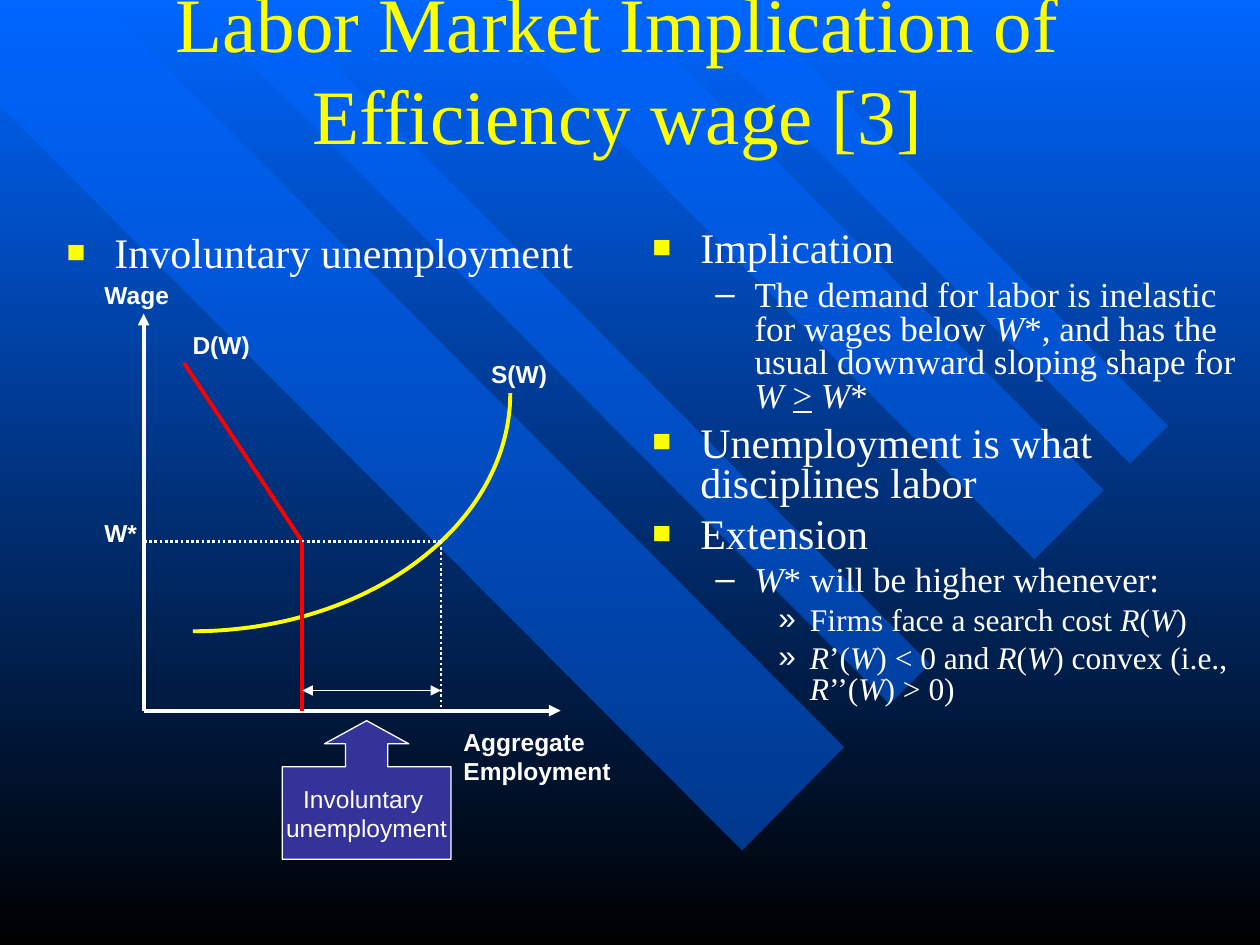
from math import cos, pi, sin

from pptx import Presentation
from pptx.dml.color import RGBColor
from pptx.enum.dml import MSO_LINE
from pptx.enum.shapes import MSO_CONNECTOR, MSO_SHAPE
from pptx.enum.text import MSO_ANCHOR, MSO_AUTO_SIZE, PP_ALIGN
from pptx.oxml.ns import qn
from pptx.util import Inches, Pt

STRAIGHT, DOTTED = MSO_CONNECTOR.STRAIGHT, MSO_LINE.ROUND_DOT
CALLOUT = MSO_SHAPE.UP_ARROW_CALLOUT
MIDDLE, CENTER, LEFT = MSO_ANCHOR.MIDDLE, PP_ALIGN.CENTER, PP_ALIGN.LEFT
FIT_SHAPE, NO_FIT = MSO_AUTO_SIZE.SHAPE_TO_FIT_TEXT, MSO_AUTO_SIZE.NONE

COLORS = {"blue": "0066FF", "black": "000000", "yellow": "FFFF00",
          "white": "FFFFFF", "red": "FF0000", "indigo": "333399"}
SERIF, SANS = "Times New Roman", "Arial"
ITALIC, UNDERLINE = {"italic": True}, {"underline": True}

TITLE = "Labor Market Implication of Efficiency wage [3]"
BANDS = [
    [(6.7, 5.93), (0.79, 0), (0, 0), (0, 0.84), (5.89, 6.75)],
    [(2.14, 0), (7.38, 5.27), (7.06, 5.59), (1.49, 0)],
    [(4.89, 0), (8.76, 3.89), (8.21, 4.44), (3.8, 0)],
    [(5.3, 0), (8.97, 3.68), (9.27, 3.38), (5.91, 0)],
]
LEVELS = [
    {"size": 24, "left": 0.38, "hang": 0.38, "before": 6, "bullet": "■", "color": "yellow", "scale": 75},
    {"size": 20, "left": 0.81, "hang": 0.31, "before": 5, "bullet": "–", "color": "white", "scale": 100},
    {"size": 18, "left": 1.25, "hang": 0.25, "before": 4.5, "bullet": "»", "color": "white", "scale": 100},
]
COLUMNS = [
    {"at": (0.43, 1.79, 4.48, 4.87), "spacing": 0.9, "items": [(0, [("Involuntary unemployment", {})])]},
    {"at": (5.08, 1.79, 4.92, 4.87), "spacing": 0.8, "items": [
        (0, [("Implication", {})]),
        (1, [("The demand for labor is inelastic for wages below ", {}), ("W", ITALIC),
             ("*, and has the usual downward sloping shape for ", {}), ("W ", ITALIC),
             (">", UNDERLINE), (" ", {}), ("W", ITALIC), ("*", {})]),
        (0, [("Unemployment is what disciplines labor", {})]),
        (0, [("Extension", {})]),
        (1, [("W", ITALIC), ("* will be higher whenever:", {})]),
        (2, [("Firms face a search cost ", {}), ("R", ITALIC), ("(", {}), ("W", ITALIC), (")", {})]),
        (2, [("R", ITALIC), ("’(", {}), ("W", ITALIC), (") < 0 and ", {}), ("R", ITALIC),
             ("(", {}), ("W", ITALIC), (") convex (i.e., ", {}), ("R", ITALIC), ("’’(", {}),
             ("W", ITALIC), (") > 0)", {})]),
    ]},
]
ORIGIN_X, ORIGIN_Y = 1.14, 5.64
DEMAND_X, SUPPLY_X, WAGE_Y, GAP_Y = 2.4, 3.5, 4.3, 5.48
SUPPLY = {"center": (1.53, 3.12), "radii": (2.52, 1.89), "steps": 60}
LINES = [
    ((ORIGIN_X, ORIGIN_Y), (ORIGIN_X, 2.49), "white", 2.25, None, ["tailEnd"]),
    ((ORIGIN_X, ORIGIN_Y), (4.45, ORIGIN_Y), "white", 2.25, None, ["tailEnd"]),
    ((1.46, 2.88), (DEMAND_X, WAGE_Y), "red", 2.25, None, []),
    ((SUPPLY_X, WAGE_Y), (ORIGIN_X, WAGE_Y), "white", 1.5, DOTTED, []),
    ((DEMAND_X, WAGE_Y), (DEMAND_X, ORIGIN_Y), "red", 2.25, None, []),
    ((SUPPLY_X, WAGE_Y), (SUPPLY_X, ORIGIN_Y), "white", 1.5, DOTTED, []),
    ((DEMAND_X, GAP_Y), (SUPPLY_X, GAP_Y), "white", 0.75, None, ["headEnd", "tailEnd"]),
]
LABELS = [
    ((3.58, 5.72, 1.4, 0.57), ["Aggregate", "Employment"]),
    ((0.73, 2.17, 0.75, 0.34), ["Wage"]),
    ((1.43, 2.57, 0.7, 0.34), ["D(W)"]),
    ((3.8, 2.8, 0.7, 0.34), ["S(W)"]),
    ((0.73, 4.06, 0.5, 0.34), ["W*"]),
]
CAUSE = {"at": (2.24, 5.72, 1.34, 1.1), "lines": ["Involuntary ", "unemployment"],
         "adjustments": (0.304, 0.304, 0.167, 0.667)}


def rgb(name):
    return RGBColor.from_string(COLORS[name])


def inches(values):
    return [Inches(value) for value in values]


def add_span(para, text, font, size, color="white", **formats):
    span = para.add_run()
    span.text = text
    for key, value in {"name": font, "size": Pt(size), **formats}.items():
        setattr(span.font, key, value)
    span.font.color.rgb = rgb(color)


def paragraphs(frame, items):
    for index, item in enumerate(items):
        yield index, frame.paragraphs[0] if index == 0 else frame.add_paragraph(), item


def write_lines(frame, lines, align, **formats):
    frame.word_wrap = False
    for _, para, text in paragraphs(frame, lines):
        para.alignment = align
        add_span(para, text, SANS, 14, **formats)


def add_child(parent, tag, **attributes):
    child = parent.makeelement(qn(f"a:{tag}"), attributes)
    parent.append(child)
    return child


def add_outline(page, points, close):
    builder = page.shapes.build_freeform(*inches(points[0]))
    builder.add_line_segments([inches(point) for point in points[1:]], close=close)
    shape = builder.convert_to_shape()
    shape.shadow.inherit = False
    return shape


def add_backdrop(page):
    fill = page.background.fill
    fill.gradient()
    fill.gradient_angle = 270
    for stop, name in zip(fill.gradient_stops, ("blue", "black")):
        stop.color.rgb = rgb(name)
    for points in BANDS:
        band = add_outline(page, points, True)
        band.fill.solid()
        band.fill.fore_color.rgb = rgb("blue")
        band.line.fill.background()
        add_child(band.element.spPr.find(".//" + qn("a:srgbClr")), "alpha", val="50000")


def add_title(page):
    title = page.shapes.title
    title.element.getparent().append(title.element)
    title.left, title.top, title.width, title.height = inches((0, 0, 9.8, 1.07))
    frame = title.text_frame
    for key, value in {"word_wrap": True, "auto_size": NO_FIT, "vertical_anchor": MIDDLE}.items():
        setattr(frame, key, value)
    frame.paragraphs[0].alignment = CENTER
    add_span(frame.paragraphs[0], TITLE, SERIF, 44, "yellow")


def add_column(page, column):
    frame = page.shapes.add_textbox(*inches(column["at"])).text_frame
    frame.word_wrap = True
    for index, para, (depth, spans) in paragraphs(frame, column["items"]):
        level = LEVELS[depth]
        para.level = depth
        para.line_spacing = column["spacing"]
        para.space_before = Pt(level["before"] if index else 0)
        properties = para._p.get_or_add_pPr()
        properties.set("marL", str(Inches(level["left"])))
        properties.set("indent", str(-Inches(level["hang"])))
        add_child(add_child(properties, "buClr"), "srgbClr", val=COLORS[level["color"]])
        add_child(properties, "buSzPct", val=str(level["scale"] * 1000))
        add_child(properties, "buFont", typeface=SANS)
        add_child(properties, "buChar", char=level["bullet"])
        for text, formats in spans:
            add_span(para, text, SERIF, level["size"], **formats)


def add_line(page, start, end, color, width, dash, arrows):
    line = page.shapes.add_connector(STRAIGHT, *inches(start + end))
    line.line.color.rgb = rgb(color)
    line.line.width = Pt(width)
    if dash:
        line.line.dash_style = dash
    properties = line.element.spPr
    for arrow in arrows:
        add_child(properties.find(qn("a:ln")), arrow, type="triangle")
    add_child(properties, "effectLst")


def add_supply(page):
    (x, y), (across, down), steps = SUPPLY["center"], SUPPLY["radii"], SUPPLY["steps"]
    angles = [pi / 2 * step / steps for step in range(steps + 1)]
    curve = add_outline(page, [(x + across * cos(a), y + down * sin(a)) for a in angles], False)
    curve.fill.background()
    curve.line.color.rgb = rgb("yellow")
    curve.line.width = Pt(2.25)


def add_cause(page):
    box = page.shapes.add_shape(CALLOUT, *inches(CAUSE["at"]))
    for index, value in enumerate(CAUSE["adjustments"]):
        box.adjustments[index] = value
    box.shadow.inherit = False
    box.fill.solid()
    box.fill.fore_color.rgb = rgb("indigo")
    box.line.color.rgb = rgb("white")
    box.line.width = Pt(0.75)
    box.text_frame.vertical_anchor = MIDDLE
    write_lines(box.text_frame, CAUSE["lines"], CENTER)


def main():
    """Build the efficiency wage slide."""
    deck = Presentation()
    deck.slide_width, deck.slide_height = inches((10, 7.5))
    page = deck.slides.add_slide(deck.slide_layouts[5])
    add_backdrop(page)
    add_title(page)
    for column in COLUMNS:
        add_column(page, column)
    add_supply(page)
    for line in LINES:
        add_line(page, *line)
    add_cause(page)
    for place, lines in LABELS:
        frame = page.shapes.add_textbox(*inches(place)).text_frame
        frame.auto_size = FIT_SHAPE
        write_lines(frame, lines, LEFT, bold=True)
    deck.save("out.pptx")


if __name__ == "__main__":
    main()
